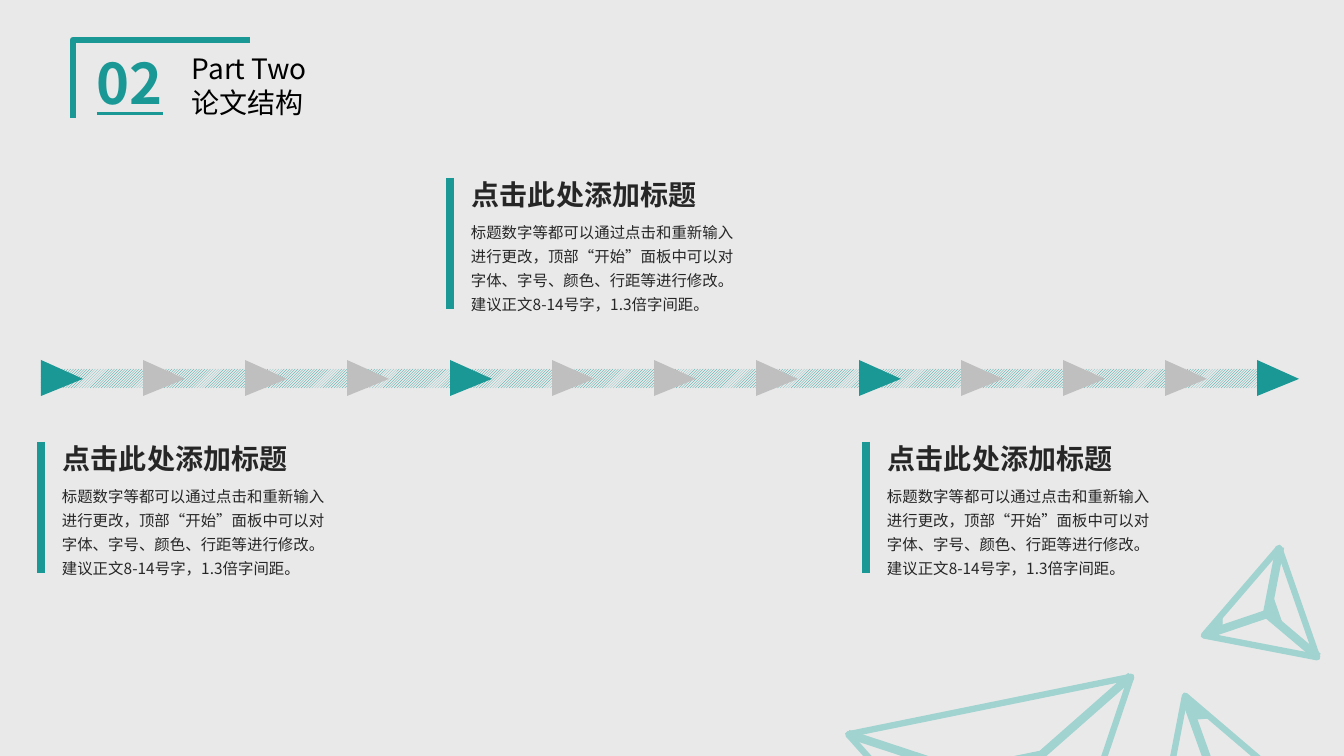
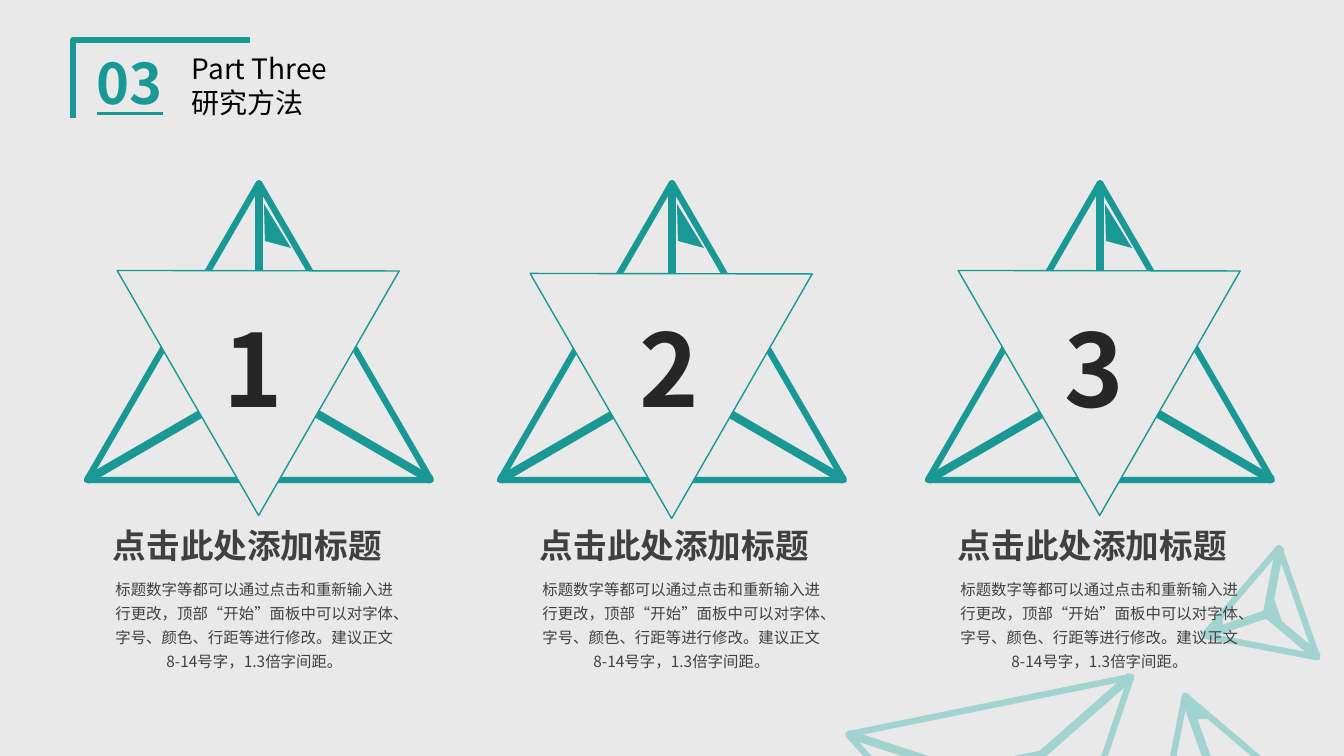
"""Build two thesis slides: a structure timeline and three research methods."""
import lxml.etree
import pptx
import pptx.dml.color
import pptx.enum.dml
import pptx.enum.shapes
import pptx.enum.text
import pptx.oxml.ns
import pptx.util

PX = 914400 / 100.8
FONT = "Noto Sans CJK SC"
TEAL, PALE, GREY, PAPER = "1A9895", "A1D3D0", "BFBFBF", "E9E9E9"
BLACK, INK, SOFT_INK = "000000", "262626", "404040"
HEADING = "点击此处添加标题"
BODY = ("标题数字等都可以通过点击和重新输入进行更改，顶部“开始”面板中可以对字体、字号、颜色、"
        "行距等进行修改。建议正文8-14号字，1.3倍字间距。")
TRIANGLE = pptx.enum.shapes.MSO_SHAPE.ISOSCELES_TRIANGLE
RECTANGLE = pptx.enum.shapes.MSO_SHAPE.RECTANGLE
LINE, OPEN, CLOSED = "line", "open outline", "closed outline"
LEFT, CENTER = pptx.enum.text.PP_ALIGN.LEFT, pptx.enum.text.PP_ALIGN.CENTER
rgb = pptx.dml.color.RGBColor.from_string


def draw(slide, form, place, fill=None, line=None, weight=0, rotation=0):
    if form in (OPEN, CLOSED):
        builder = slide.shapes.build_freeform(*place[0], scale=PX)
        builder.add_line_segments(place[1:], close=form == CLOSED)
        item = builder.convert_to_shape()
    else:
        lengths = [round(length * PX) for length in place]
        if form == LINE:
            straight = pptx.enum.shapes.MSO_CONNECTOR.STRAIGHT
            item = slide.shapes.add_connector(straight, *lengths)
        else:
            item = slide.shapes.add_shape(form, *lengths)
    if form != LINE:
        item.rotation = rotation
        if fill:
            item.fill.solid()
            item.fill.fore_color.rgb = rgb(fill)
        else:
            item.fill.background()
    if line:
        item.line.color.rgb = rgb(line)
        item.line.width = pptx.util.Pt(weight)
    else:
        item.line.fill.background()
    lxml.etree.SubElement(item.element.spPr, pptx.oxml.ns.qn("a:effectLst"))
    return item


def write(slide, box, lines, size, color, bold=False, underline=False,
          align=LEFT, spacing=1.0, wrap=True):
    frame = slide.shapes.add_textbox(*[round(length * PX) for length in box]).text_frame
    frame.word_wrap = wrap
    for index, words in enumerate(lines):
        paragraph = frame.add_paragraph() if index else frame.paragraphs[0]
        paragraph.alignment = align
        paragraph.line_spacing = spacing
        run = paragraph.add_run()
        run.text = words
        run.font.size = pptx.util.Pt(size)
        run.font.bold = bold
        run.font.underline = underline
        run.font.color.rgb = rgb(color)
        run.font.name = FONT
        lxml.etree.SubElement(run.font._element, pptx.oxml.ns.qn("a:ea"), typeface=FONT)


deck = pptx.Presentation()
deck.slide_width, deck.slide_height = pptx.util.Inches(13.333), pptx.util.Inches(7.5)
deck.slide_master.background.fill.solid()
deck.slide_master.background.fill.fore_color.rgb = rgb(PAPER)

shards = [
    ((1132, 692, 148, 127), 340.7, (1213, 775), [(1185, 697)],
     None, [(1195, 719), (1208, 718), (1190, 704)]),
    ((870, 703, 289, 249), 168.5, (1006, 786), [(1131, 676), (848, 734)],
     (966, 759, 76, 23), None),
    ((1193, 569, 116, 100), 250.8, (1267, 614), [(1205, 635), (1318, 657), (1280, 547)],
     (1258, 607, 30, 9), [(1222, 627), (1222, 618), (1211, 631)]),
]
sections = [("02", "Part Two", "论文结构"), ("03", "Part Three", "研究方法")]
for number, part, title in sections:
    slide = deck.slides.add_slide(deck.slide_layouts[6])
    draw(slide, OPEN, [(73, 118), (73, 40), (250, 40)], line=TEAL, weight=4.5)
    for face, turn, hub, corners, core, facet in shards:
        draw(slide, TRIANGLE, face, PAPER, PALE, 4.5, turn)
        for corner in corners:
            draw(slide, LINE, (*corner, *hub), line=PALE, weight=6)
        if core:
            draw(slide, TRIANGLE, core, PALE, PALE, 1, turn)
        if facet:
            draw(slide, CLOSED, facet, PALE, PALE, 1)
    write(slide, (87, 44, 96, 78), [number], 40, TEAL, bold=True, underline=True)
    write(slide, (182, 47, 242, 78), [part, title], 20, BLACK)

structure, methods = deck.slides

track = draw(structure, RECTANGLE, (41, 369, 1233, 19))
track.fill.patterned()
track.fill.pattern = pptx.enum.dml.MSO_PATTERN.LIGHT_UPWARD_DIAGONAL
track.fill.fore_color.rgb = rgb(TEAL)
track.fill.back_color.rgb = rgb(PAPER)
arrow_lefts = [44 + 409 * step // 4 for step in range(12)] + [1260]
for step, left in enumerate(arrow_lefts):
    color = GREY if step % 4 else TEAL
    arrow = draw(structure, TRIANGLE, (left, 357, 36, 42), color, rotation=90)
    arrow.adjustments[0] = 0.525

for left, top in [(41, 442), (450, 178), (866, 442)]:
    draw(structure, LINE, (left, top, left, top + 131), line=TEAL, weight=6)
    write(structure, (left + 12, top - 5, 265, 44), [HEADING], 20, INK, bold=True)
    write(structure, (left + 11, top + 35, 288, 107), [BODY], 11, INK, spacing=1.3)

columns = [("1", 259, 210, 214, 103), ("2", 672, 213, 630, 530), ("3", 1100, 210, 1055, 948)]
for digit, center, veil_top, digit_left, text_left in columns:
    draw(methods, TRIANGLE, (center - 172, 183, 344, 297), PAPER, TEAL, 4.5)
    for x, y in [(center, 183), (center - 172, 480), (center + 172, 480)]:
        draw(methods, LINE, (x, y, center, 380), line=TEAL, weight=6)
    draw(methods, CLOSED, [(center + 6, 241), (center + 32, 248), (center + 5, 204)], TEAL)
    draw(methods, TRIANGLE, (center - 107, veil_top, 283, 244), PAPER, TEAL, 1, 60)
    write(methods, (digit_left, 302, 83, 132), [digit], 72, INK, bold=True, wrap=False)
    write(methods, (text_left, 520, 291, 50), [HEADING], 24, SOFT_INK, bold=True, wrap=False)
    write(methods, (text_left - 1, 570, 305, 107), [BODY], 11, SOFT_INK,
          align=CENTER, spacing=1.3)

deck.save("out.pptx")
